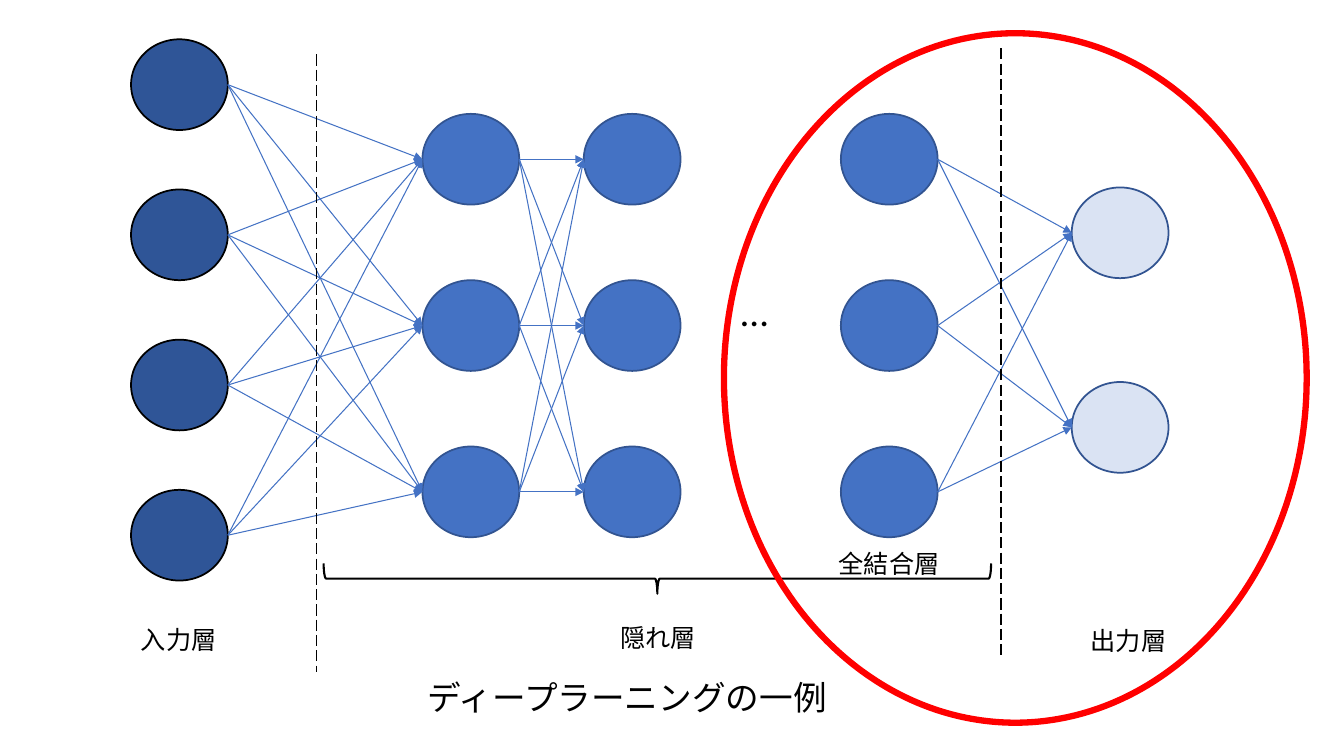
from itertools import product
from lxml.etree import SubElement as Sub
from pptx import Presentation
from pptx.dml.color import RGBColor as Rgb
from pptx.enum.dml import MSO_LINE as Dash
from pptx.enum.shapes import MSO_CONNECTOR as Link, MSO_SHAPE as Form
from pptx.enum.text import MSO_ANCHOR as Anchor, PP_ALIGN as Align
from pptx.oxml.ns import qn
from pptx.util import Inches, Pt

theme = {
    "ink": "000000", "navy": "2F5597", "blue": "4472C4", "pale": "DAE3F3",
    "edge": "325491", "red": "FF0000",
    "title": 24, "label": 18, "dots": 28,
    "cjk": "Noto Sans CJK JP", "sans": "Arial", "body": "Calibri",
}

deck = Presentation()
deck.slide_width, deck.slide_height = Inches(13.33), Inches(7.5)
slide = deck.slides.add_slide(deck.slide_layouts[6])
shapes = slide.shapes


def draw(form, box, fill, edge, width):
    shape = shapes.add_shape(form, *map(Inches, box))
    shape.shadow.inherit = False
    if fill:
        shape.fill.solid()
        shape.fill.fore_color.rgb = Rgb.from_string(theme[fill])
    else:
        shape.fill.background()
    shape.line.color.rgb = Rgb.from_string(theme[edge])
    shape.line.width = Pt(width)
    return shape


def link(start, end, color, width):
    line = shapes.add_connector(Link.STRAIGHT, *map(Inches, start + end))
    line.line.color.rgb = Rgb.from_string(theme[color])
    line.line.width = Pt(width)
    Sub(line._element.spPr, qn("a:effectLst"))
    return line


wide, high = 0.96, 0.9
three = [1.13 + 1.65 * i for i in range(3)]
layers = {
    "input": (1.3, [0.39 + 1.49 * i for i in range(4)], "navy", "ink"),
    "first": (4.19, three, "blue", "edge"),
    "second": (5.79, three, "blue", "edge"),
    "full": (8.34, three, "blue", "edge"),
    "output": (10.63, [1.86, 3.79], "pale", "edge"),
}
for left, tops, fill, edge in layers.values():
    for top in tops:
        draw(Form.OVAL, (left, top, wide, high), fill, edge, 1.25)

for here, there in [("input", "first"), ("first", "second"), ("full", "output")]:
    left, tops = layers[here][:2]
    right, ends = layers[there][:2]
    for top, end in product(tops, ends):
        arrow = link((left + wide, top + high / 2), (right, end + high / 2), "blue", 0.75)
        Sub(arrow.line._get_or_add_ln(), qn("a:tailEnd"), type="triangle")

for x, top, end in [(3.14, 0.54, 6.67), (9.93, 0.48, 6.52)]:
    link((x, top), (x, end), "ink", 1).line.dash_style = Dash.LONG_DASH

brace = draw(Form.LEFT_BRACE, (6.37, 2.43, 0.3, 6.62), None, "ink", 1.5)
brace.rotation = 270
draw(Form.OVAL, (7.18, 0.33, 5.78, 6.84), None, "red", 4.5)

labels = [
    ("ディープラーニングの一例", (3.78, 6.67, 4.88, 0.5), "title", "sans", "cjk", Align.CENTER),
    ("入力層", (1.3, 6.14, 1.03, 0.38), "label", "cjk", "cjk", Align.LEFT),
    ("隠れ層", (6.01, 6.12, 1.03, 0.4), "label", "cjk", "cjk", Align.CENTER),
    ("出力層", (10.72, 6.15, 1.03, 0.38), "label", "cjk", "cjk", Align.LEFT),
    ("全結合層", (8.22, 5.39, 1.56, 0.4), "label", "body", "cjk", Align.LEFT),
    ("…", (7.25, 2.8, 0.51, 0.57), "dots", "body", "body", Align.LEFT),
]
for words, box, size, face, east, align in labels:
    frame = shapes.add_textbox(*map(Inches, box)).text_frame
    frame.word_wrap = True
    frame.vertical_anchor = Anchor.MIDDLE if size == "dots" else Anchor.TOP
    frame.text = words
    para = frame.paragraphs[0]
    para.alignment = align
    run = para.runs[0]
    run.font.size = Pt(theme[size])
    run.font.color.rgb = Rgb.from_string(theme["ink"])
    run.font.name = theme[face]
    Sub(run.font._element, qn("a:ea"), typeface=theme[east])

deck.save("out.pptx")
